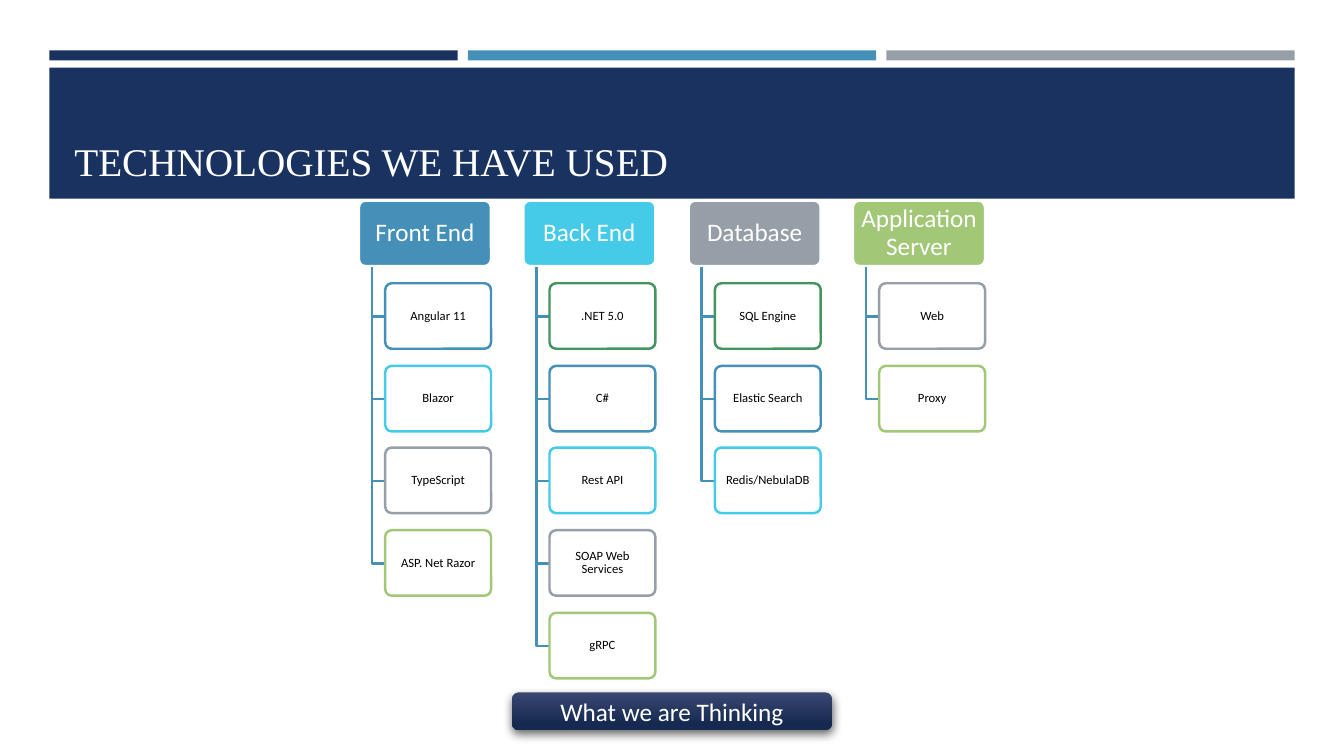
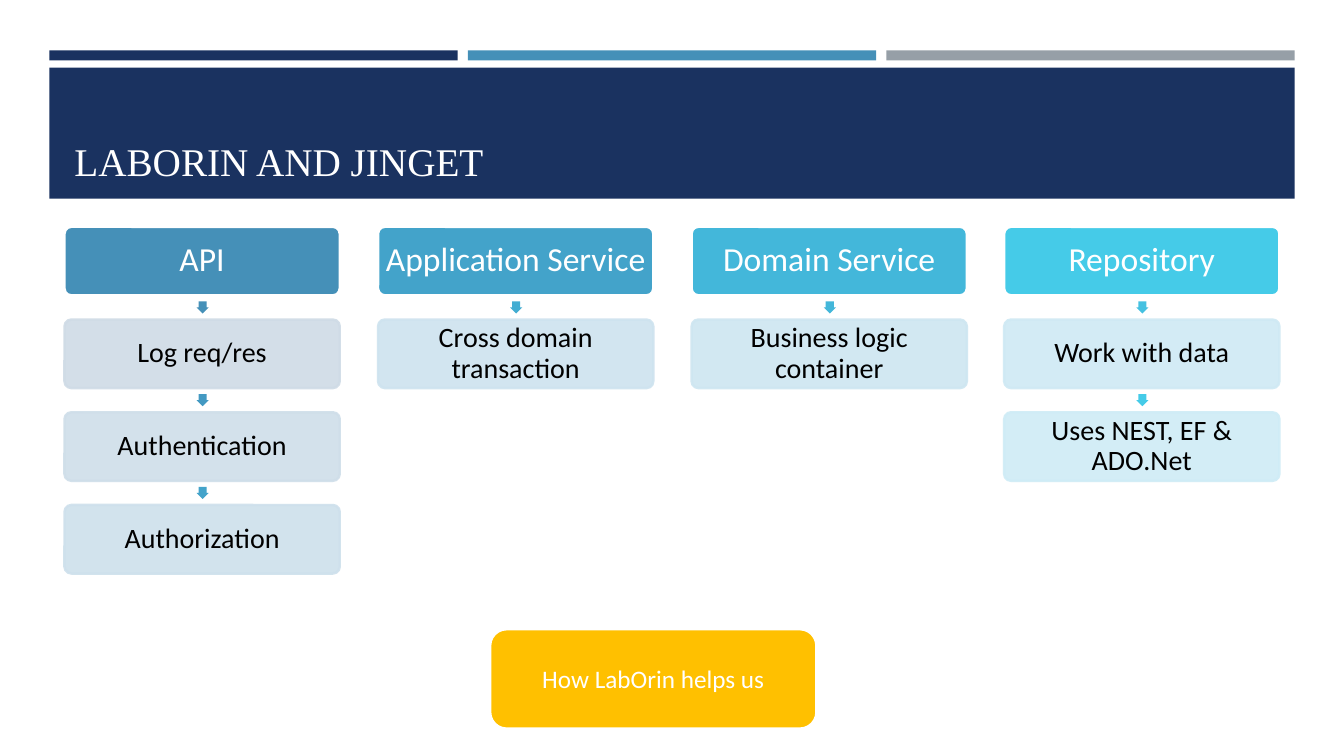
from dataclasses import dataclass

from lxml.etree import SubElement
from pptx import Presentation
from pptx.dml.color import RGBColor
from pptx.enum.shapes import MSO_SHAPE as Form
from pptx.enum.text import MSO_ANCHOR as Anchor, PP_ALIGN as Align
from pptx.oxml.ns import qn
from pptx.util import Pt

PX = 9144  # 100 px to the inch


@dataclass(frozen=True)
class Theme:
    navy: str = "1A3260"
    blue: str = "4590B8"
    cyan: str = "45CBE8"
    gray: str = "969FA7"
    lime: str = "A2C777"
    green: str = "42955F"
    gold: str = "FFC000"
    white: str = "FFFFFF"
    black: str = "000000"
    dusk: str = "394771"
    night: str = "162A51"
    serif: str = "Times New Roman"
    sans: str = "Calibri"
    title: int = 28
    head: int = 24
    body: int = 20
    label: int = 18
    small: int = 9
    rule: float = 1.75


T = Theme()


def draw(slide, form, box, fill, line=None, width=T.rule, round_by=None):
    shape = slide.shapes.add_shape(form, *(n * PX for n in box))
    shape.shadow.inherit = False
    shape.fill.solid()
    shape.fill.fore_color.rgb = RGBColor.from_string(fill)
    if line:
        shape.line.color.rgb = RGBColor.from_string(line)
        shape.line.width = Pt(width)
    else:
        shape.line.fill.background()
    if round_by:
        shape.adjustments[0] = round_by
    return shape


def write(shape, text, size, color, font=T.sans, align=Align.CENTER,
          anchor=Anchor.MIDDLE, pad=(10, 5), space=1.0):
    frame = shape.text_frame
    frame.word_wrap = True
    frame.vertical_anchor = anchor
    frame.margin_left = frame.margin_right = pad[0] * PX
    frame.margin_top = frame.margin_bottom = pad[1] * PX
    frame.text = text
    para = frame.paragraphs[0]
    para.alignment = align
    para.line_spacing = space
    run = para.runs[0].font
    run.name, run.size = font, Pt(size)
    run.color.rgb = RGBColor.from_string(color)


deck = Presentation()
deck.slide_width, deck.slide_height = 1333 * PX, 750 * PX

# Shared frame: three bands and the title bar
slides = []
for title in ("TECHNOLOGIES WE HAVE USED", "LABORIN AND JINGET"):
    slide = deck.slides.add_slide(deck.slide_layouts[6])
    for i, color in enumerate((T.navy, T.blue, T.gray)):
        draw(slide, Form.RECTANGLE, (49 + 415 * i, 50, 405, 10), color)
    draw(slide, Form.RECTANGLE, (49, 67, 1235, 130), T.navy)
    box = slide.shapes.add_textbox(64 * PX, 77 * PX, 1206 * PX, 111 * PX)
    write(box, title, T.title, T.white, T.serif, Align.LEFT, Anchor.BOTTOM)
    slides.append(slide)
tech, layers = slides

# Slide 1: one tree for each group of tools
trees = [
    ("Front End", T.blue, [
        ("Angular 11", T.blue), ("Blazor", T.cyan),
        ("TypeScript", T.gray), ("ASP. Net Razor", T.lime)]),
    ("Back End", T.cyan, [
        (".NET 5.0", T.green), ("C#", T.blue), ("Rest API", T.cyan),
        ("SOAP Web Services", T.gray), ("gRPC", T.lime)]),
    ("Database", T.gray, [
        ("SQL Engine", T.green), ("Elastic Search", T.blue),
        ("Redis/NebulaDB", T.cyan)]),
    ("Application Server", T.lime, [("Web", T.gray), ("Proxy", T.lime)]),
]
for i, (name, color, tools) in enumerate(trees):
    left = round(356 + 163.4 * i)
    stem = left + 13
    head = draw(tech, Form.ROUNDED_RECTANGLE, (left, 199, 131, 65), color,
                T.white, round_by=0.1)
    write(head, name, T.label, T.white, pad=(6, 5), space=0.9)
    for j, (tool, edge) in enumerate(tools):
        top = round(281 + 81.7 * j)
        # Elbow from the head down to the side of the box
        path_pen = tech.shapes.build_freeform(stem, 265, PX)
        path_pen.add_line_segments(
            [(stem, top + 33), (left + 26, top + 33)], close=False)
        elbow = path_pen.convert_to_shape()
        elbow.shadow.inherit = False
        elbow.fill.background()
        elbow.line.color.rgb = RGBColor.from_string(T.blue)
        elbow.line.width = Pt(T.rule)
        box = draw(tech, Form.ROUNDED_RECTANGLE, (left + 26, top, 105, 65),
                   T.white, edge, round_by=0.1)
        write(box, tool, T.small, T.black, pad=(4, 3), space=0.9)

# Slide 1: button with a gradient and a soft shadow
button = draw(tech, Form.ROUNDED_RECTANGLE, (508, 687, 317, 37), T.navy)
button.fill.gradient()
button.fill.gradient_angle = 270
for stop, color, place in zip(button.fill.gradient_stops,
                              (T.dusk, T.night), (0, 0.84)):
    stop.color.rgb = RGBColor.from_string(color)
    stop.position = place
glow = SubElement(button._element.spPr.find(qn("a:effectLst")),
                  qn("a:outerShdw"), blurRad=str(Pt(7)), dist=str(Pt(3)),
                  dir=str(84 * 60000), rotWithShape="0")
shade = SubElement(glow, qn("a:srgbClr"), val=T.black)
SubElement(shade, qn("a:alpha"), val="60000")
write(button, "What we are Thinking", T.label, T.white)

# Slide 2: layers, each step with its arrow and box colours
stacks = [
    ("API", T.blue, [
        ("Log req/res", T.blue, "CFDBE6"),
        ("Authentication", "4399C2", "CFDEE9"),
        ("Authorization", "43A3CA", "CEE0EC")]),
    ("Application Service", "43A3CA", [
        ("Cross domain transaction", "43ADD2", "CEE3EF")]),
    ("Domain Service", "43B7DA", [
        ("Business logic container", "43B7DA", "CEE6F1")]),
    ("Repository", T.cyan, [
        ("Work with data", "44C1E1", "CFE9F4"),
        ("Uses NEST, EF & ADO.Net", T.cyan, "CFECF6")]),
]
for i, (name, color, steps) in enumerate(stacks):
    left = round(64 + 310.8 * i)
    head = draw(layers, Form.ROUNDED_RECTANGLE, (left, 225, 273, 68), color,
                T.white, round_by=0.1)
    write(head, name, T.head, T.white, pad=(5, 5), space=0.9)
    for j, (step, tint, pale) in enumerate(steps):
        top = 317 + 92 * j
        draw(layers, Form.DOWN_ARROW, (left + 131, top - 18, 12, 12), tint,
             round_by=0.67)
        box = draw(layers, Form.ROUNDED_RECTANGLE, (left, top, 273, 68), pale,
                   pale, round_by=0.1)
        for shade in list(box._element.spPr.iter(qn("a:srgbClr"))):
            SubElement(shade, qn("a:alpha"), val="90000")
        write(box, step, T.body, T.black, pad=(5, 5), space=0.9)

# Slide 2: closing button
button = draw(layers, Form.ROUNDED_RECTANGLE, (486, 624, 324, 99), T.gold,
              T.white, 2)
write(button, "How LabOrin helps us", T.label, T.white)

deck.save("out.pptx")
